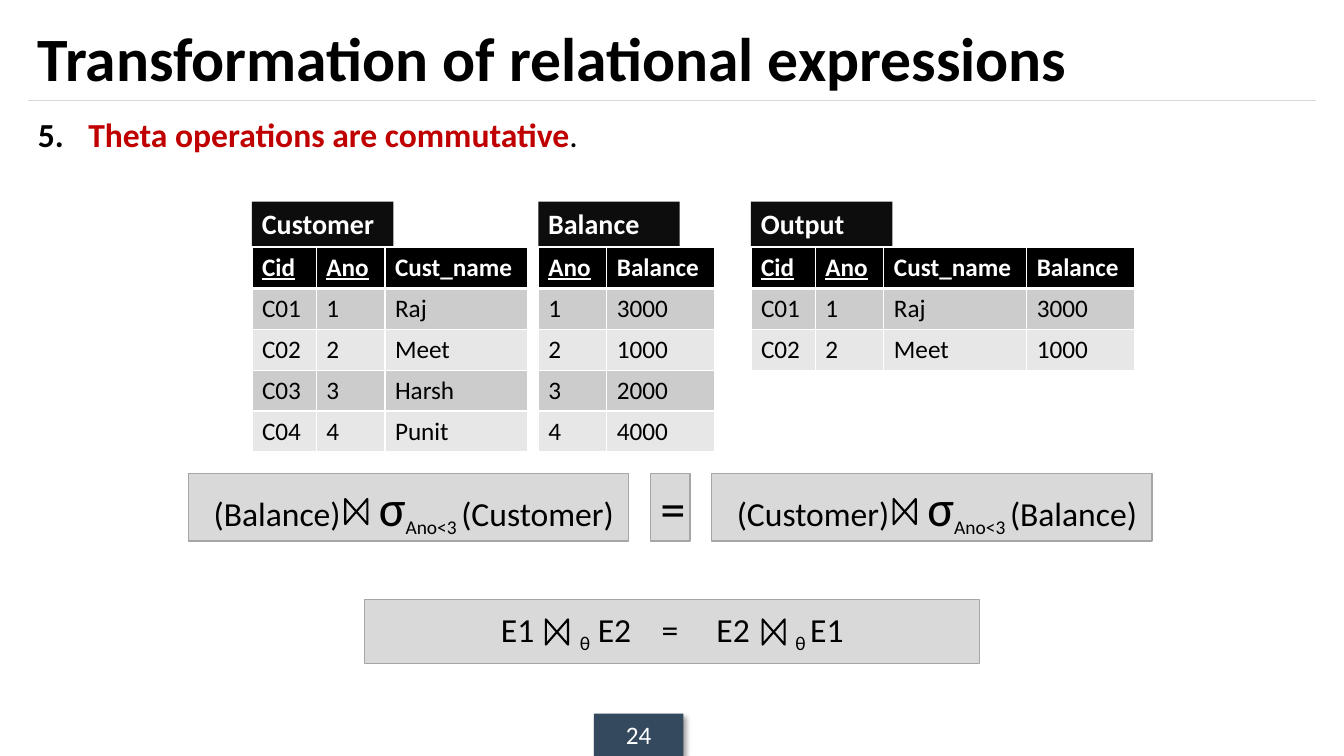
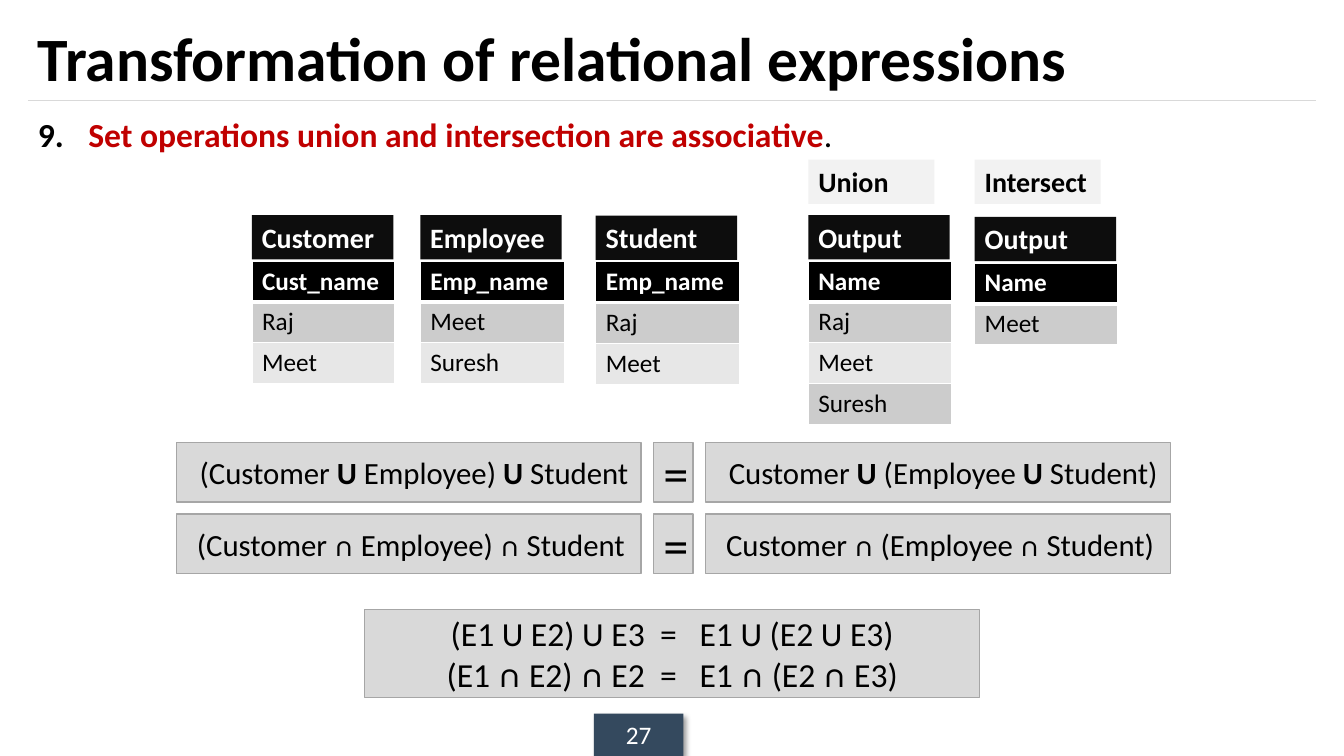
from lxml import etree
from pptx import Presentation, util as u
from pptx.dml.color import RGBColor
from pptx.enum import shapes, text
from pptx.oxml.ns import qn

FONT = "Calibri"
COLORS = {
    "black": "000000", "white": "FFFFFF", "red": "C00000", "rule": "D9D9D9",
    "label": "0D0D0D", "operation": "F2F2F2", "box": "D9D9D9", "outline": "A6A6A6",
    "odd": "CCCCCC", "even": "E7E7E7", "page": "34495E",
}
COLUMN_WIDTHS = {"Cid": 46, "Ano": 49, "Cust_name": 102, "Balance": 77,
                 "Emp_name": 103, "Name": 102}
ROW_HEIGHT = 29.2
LABEL_HEIGHT = 31.6
TABLE_OFFSET = 32.8
SPACE_WIDTH = 0.226  # of the font size
LEFT, WIDTH = 20, 920
CENTER = text.PP_ALIGN.CENTER
MIDDLE = text.MSO_ANCHOR.MIDDLE


def rgb(name):
    """Return the named colour."""
    return RGBColor.from_string(COLORS[name])


def add_xml(parent, tag, **attributes):
    """Append a DrawingML element and return it."""
    element = etree.SubElement(parent, qn(tag))
    for key, value in attributes.items():
        element.set(key, str(value))
    return element


def gap(spaces, size=24):
    """Return one space widened to the width of several."""
    return " ", {"spacing": (spaces - 1) * SPACE_WIDTH * size}


def signed(expression, sign, **sign_format):
    """Split an expression into runs, with its own format for the sign."""
    first, *others = expression.split(sign)
    runs = [first]
    for part in others:
        runs += [(sign, sign_format), part]
    return runs


def equality(left, right):
    """Return the runs of two sides with an equals sign between them."""
    return [*left, gap(2), "=", gap(3), *right]


def write(paragraph, runs, align=None, **base_format):
    """Write runs, each a string or a (string, format) pair, in a paragraph."""
    paragraph.alignment = align
    for item in [runs] if isinstance(runs, str) else runs:
        content, own_format = (item, {}) if isinstance(item, str) else item
        style = {"size": 24, "color": "black", **base_format, **own_format}
        run = paragraph.add_run()
        run.text = content
        run.font.name = FONT
        run.font.size = u.Pt(style["size"])
        run.font.color.rgb = rgb(style["color"])
        run.font.bold = style.get("bold", False)
        run.font.underline = style.get("underline", False)
        properties = run._r.get_or_add_rPr()
        if style.get("subscript"):
            properties.set("baseline", "-25000")
        if "spacing" in style:
            properties.set("spc", str(round(style["spacing"] * 100)))


class Deck:
    """Shared style and the current slide."""

    def __init__(self):
        """Start a wide presentation."""
        self.presentation = Presentation()
        self.presentation.slide_width = u.Pt(960)
        self.presentation.slide_height = u.Pt(540)
        self.slide = None

    def new_slide(self, page, number, rule):
        """Add a slide with title, line, page number and numbered rule."""
        self.slide = self.presentation.slides.add_slide(
            self.presentation.slide_layouts[6])
        self.line(LEFT, 72, LEFT + WIDTH, 72)
        footer = self.box(424.2, 509.8, 64, 30.2, [str(page)], fill="page",
                          size=18, color="white")
        effects = add_xml(footer._element.spPr, "a:effectLst") \
            if footer._element.spPr.find(qn("a:effectLst")) is None \
            else footer._element.spPr.find(qn("a:effectLst"))
        shadow = add_xml(effects, "a:outerShdw", blurRad=u.Pt(4), dist=u.Pt(3),
                         dir=45 * 60000, algn="tl", rotWithShape=0)
        color = add_xml(shadow, "a:srgbClr", val=COLORS["black"])
        add_xml(color, "a:alpha", val=40000)
        self.text_box(8.6, 63.4, "Transformation of relational expressions",
                      anchor=MIDDLE, size=44, bold=True)
        paragraph = self.text_box(
            77.8, 420, [(rule, {"color": "red", "bold": True}), "."],
            align=text.PP_ALIGN.JUSTIFY)
        paragraph.space_before = u.Pt(9)
        properties = paragraph._p.get_or_add_pPr()
        properties.set("marL", str(u.Pt(36)))
        properties.set("indent", str(-u.Pt(36)))
        bullet = add_xml(properties, "a:buClr")
        add_xml(bullet, "a:srgbClr", val=COLORS["black"])
        add_xml(properties, "a:buFont", typeface="+mj-lt")
        add_xml(properties, "a:buAutoNum", type="arabicPeriod", startAt=number)

    def text_box(self, top, height, runs, anchor=text.MSO_ANCHOR.TOP, **style):
        """Add a text box as wide as the content and return its paragraph."""
        frame = self.slide.shapes.add_textbox(
            u.Pt(LEFT), u.Pt(top), u.Pt(WIDTH), u.Pt(height)).text_frame
        frame.word_wrap = True
        frame.vertical_anchor = anchor
        write(frame.paragraphs[0], runs, **style)
        return frame.paragraphs[0]

    def line(self, x1, y1, x2, y2):
        """Add a thin straight line."""
        line = self.slide.shapes.add_connector(
            shapes.MSO_CONNECTOR.STRAIGHT, u.Pt(x1), u.Pt(y1), u.Pt(x2), u.Pt(y2))
        line.line.color.rgb = rgb("rule")
        line.line.width = u.Pt(0.75)
        add_xml(line._element.spPr, "a:effectLst")

    def shape(self, kind, left, top, width, height, fill, outline=None, weight=1):
        """Add a filled preset shape."""
        shape = self.slide.shapes.add_shape(
            kind, u.Pt(left), u.Pt(top), u.Pt(width), u.Pt(height))
        shape.shadow.inherit = False
        shape.fill.solid()
        shape.fill.fore_color.rgb = rgb(fill)
        if outline:
            shape.line.color.rgb = rgb(outline)
            shape.line.width = u.Pt(weight)
        else:
            shape.line.fill.background()
        return shape

    def box(self, left, top, width, height, lines, fill="box", outline=None,
            anchor=MIDDLE, align=CENTER, lead=0, **style):
        """Add a rectangle with one paragraph for each line."""
        shape = self.shape(shapes.MSO_SHAPE.RECTANGLE, left, top, width, height,
                           fill, outline)
        frame = shape.text_frame
        frame.word_wrap = True
        frame.vertical_anchor = anchor
        frame.margin_left = u.Pt(7.2 + lead)
        for index, runs in enumerate(lines):
            paragraph = frame.add_paragraph() if index else frame.paragraphs[0]
            write(paragraph, runs, align, **style)
        return shape

    def label(self, name, left, top, width=101, fill="label", color="white"):
        """Add a bold caption."""
        self.box(left, top, width, LABEL_HEIGHT, [name], fill=fill, size=20,
                 bold=True, color=color, anchor=text.MSO_ANCHOR.TOP,
                 align=text.PP_ALIGN.LEFT)

    def relation(self, name, left, top, columns, rows):
        """Add a captioned table; Cid and Ano are underlined keys."""
        widths = [COLUMN_WIDTHS[column] for column in columns]
        count = len(rows) + 1
        table = self.slide.shapes.add_table(
            count, len(columns), u.Pt(left), u.Pt(top + TABLE_OFFSET),
            u.Pt(sum(widths)), u.Pt(count * ROW_HEIGHT)).table
        table.first_row = table.horz_banding = False
        for column, width in zip(table.columns, widths):
            column.width = u.Pt(width)
        for index, values in enumerate([columns, *rows]):
            table.rows[index].height = u.Pt(ROW_HEIGHT)
            for position, value in enumerate(values):
                self.cell(table.cell(index, position), index, value)
        self.label(name, left, top)

    def cell(self, cell, row, value):
        """Fill, border and write one table cell."""
        header = row == 0
        cell.fill.solid()
        cell.fill.fore_color.rgb = rgb(
            "black" if header else "odd" if row % 2 else "even")
        write(cell.text_frame.paragraphs[0], value, size=18, bold=header,
              color="white" if header else "black",
              underline=header and value in ("Cid", "Ano"))
        properties = cell._tc.get_or_add_tcPr()
        weights = {"L": 1, "R": 1, "T": 3 if row == 1 else 1, "B": 3 if header else 1}
        for index, (side, weight) in enumerate(weights.items()):
            border = add_xml(properties, "a:ln" + side, w=u.Pt(weight))
            fill = add_xml(border, "a:solidFill")
            add_xml(fill, "a:srgbClr", val=COLORS["white"])
            properties.insert(index, border)

    def equation(self, left, right, width, top, height, sides, **style):
        """Add two equal expressions with an equals box midway between them."""
        for start, runs in zip((left, right), sides):
            self.box(start, top, width, height, [runs], outline="outline", **style)
        sign_width = 28.2
        middle = (left + width + right) / 2
        self.box(middle - sign_width / 2, top, sign_width, height, ["="],
                 outline="outline", size=36)

    def result(self, top, height, lines):
        """Add the box with the general rule."""
        self.box(260.6, top, 439.2, height, lines, outline="outline")

    def join_sign(self, left, top):
        """Add a bow tie, the sign for a join."""
        sign = self.shape(shapes.MSO_SHAPE.FLOWCHART_COLLATE, left, top, 18, 15.8,
                          "box", "black", 1.5)
        sign.rotation = 90


def selection(joined, selected):
    """Return the runs of a join with a selected relation."""
    return [f"({joined})", gap(5), ("σ", {"size": 36}),
            ("Ano<3 ", {"subscript": True}), f"({selected})"]


deck = Deck()

deck.new_slide(24, 5, "Theta operations are commutative")
customers = [("C01", "1", "Raj"), ("C02", "2", "Meet"),
             ("C03", "3", "Harsh"), ("C04", "4", "Punit")]
balances = [("1", "3000"), ("2", "1000"), ("3", "2000"), ("4", "4000")]
joined = [customer + balance[1:] for customer, balance in zip(customers, balances)]
for name, left, columns, rows in [
        ("Customer", 180, ["Cid", "Ano", "Cust_name"], customers),
        ("Output", 536.4, ["Cid", "Ano", "Cust_name", "Balance"], joined[:2]),
        ("Balance", 384.5, ["Ano", "Balance"], balances)]:
    deck.relation(name, left, 144, columns, rows)
deck.equation(134.6, 508.3, 314.6, 338.4, 48.2,
              [selection("Balance", "Customer"), selection("Customer", "Balance")],
              lead=7.3)
theta = ("θ", {"subscript": True})
deck.result(428.4, 45.4, [["E1", gap(6), theta, " E2", gap(4), "=", gap(5), "E2",
                           gap(6), theta, (" ", {"subscript": True}), "E1"]])
for left, top in [(245.5, 357.5), (637.2, 357.5), (388.8, 443.5), (543.6, 443.5)]:
    deck.join_sign(left, top)

deck.new_slide(27, 9, "Set operations union and intersection are associative")
for name, left, top, column, people in [
        ("Customer", 180, 153.6, "Cust_name", ["Raj", "Meet"]),
        ("Employee", 300.2, 153.6, "Emp_name", ["Meet", "Suresh"]),
        ("Student", 425.5, 154, "Emp_name", ["Raj", "Meet"]),
        ("Output", 577.4, 153.6, "Name", ["Raj", "Meet", "Suresh"]),
        ("Output", 696.2, 155, "Name", ["Meet"])]:
    deck.relation(name, left, top, [column], [[person] for person in people])
for name, left in [("Union", 577.4), ("Intersect", 696.2)]:
    deck.label(name, left, 114, width=90, fill="operation", color="black")
for sign, top, sign_size, lead in [("U", 316.1, 22, 7.3), ("∩", 367.2, 20, 2.9)]:
    sides = [f"(Customer {sign} Employee) {sign} Student",
             f"Customer {sign} (Employee {sign} Student)"]
    deck.equation(126, 504, 331.9, top, 42.5,
                  [signed(side, sign, bold=True, size=sign_size) for side in sides],
                  size=22, lead=lead)
deck.result(435.6, 62.6, [
    equality(["(E1 U E2) U E3"], ["E1 U (E2 U E3)"]),
    equality(signed("(E1 ∩ E2) ∩ E2", "∩", bold=True),
             signed("E1 ∩ (E2 ∩ E3)", "∩", bold=True))])

deck.presentation.save("out.pptx")
